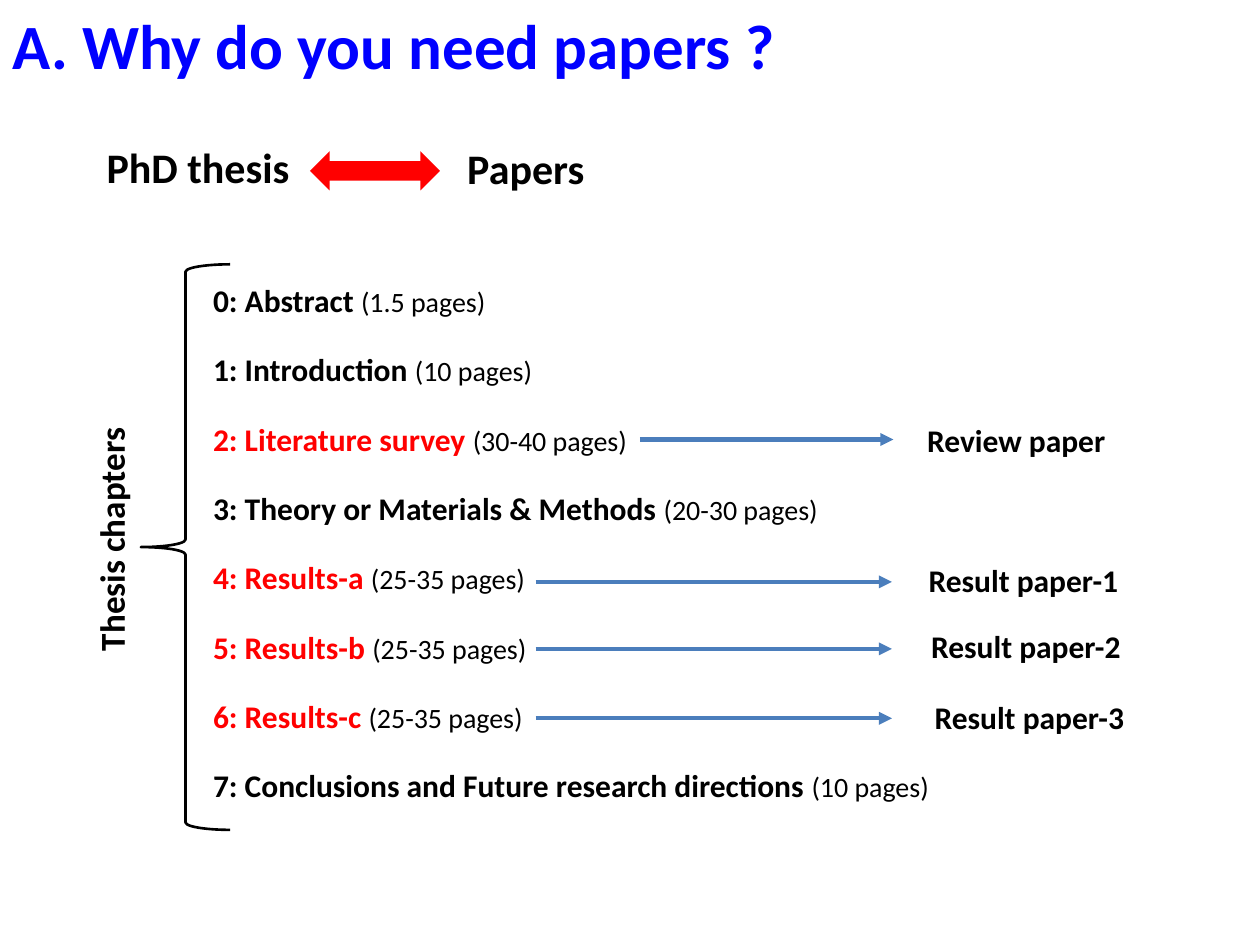
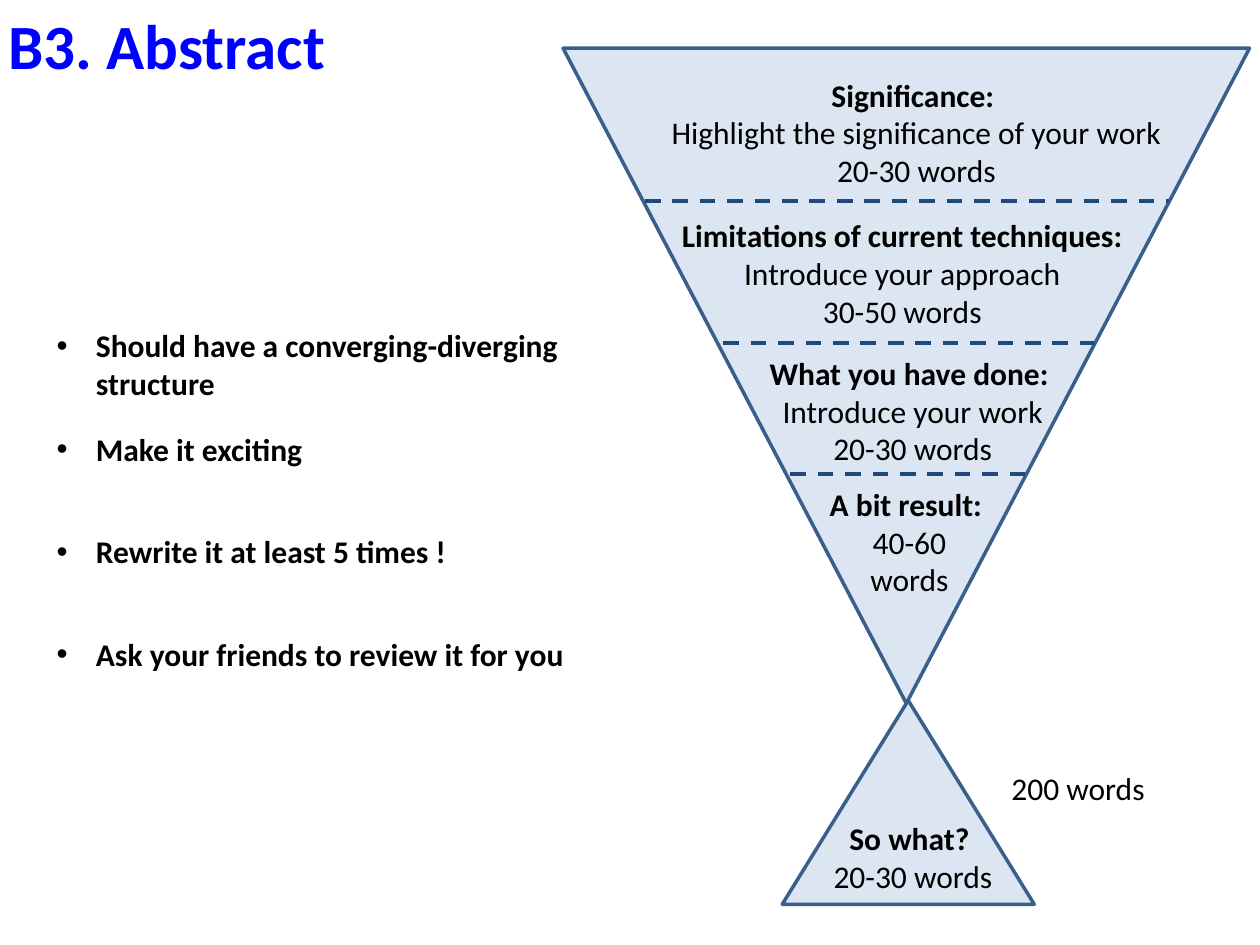
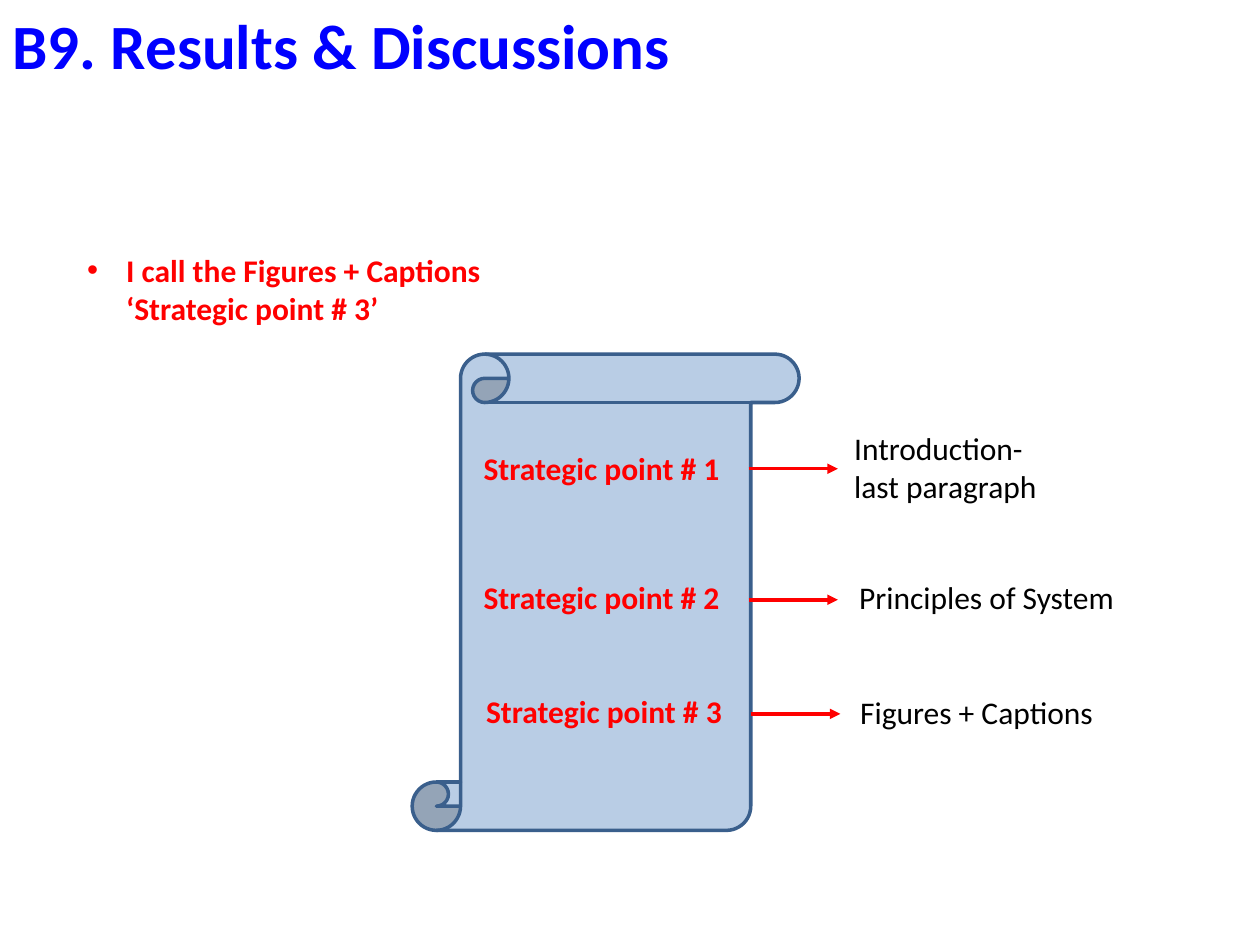
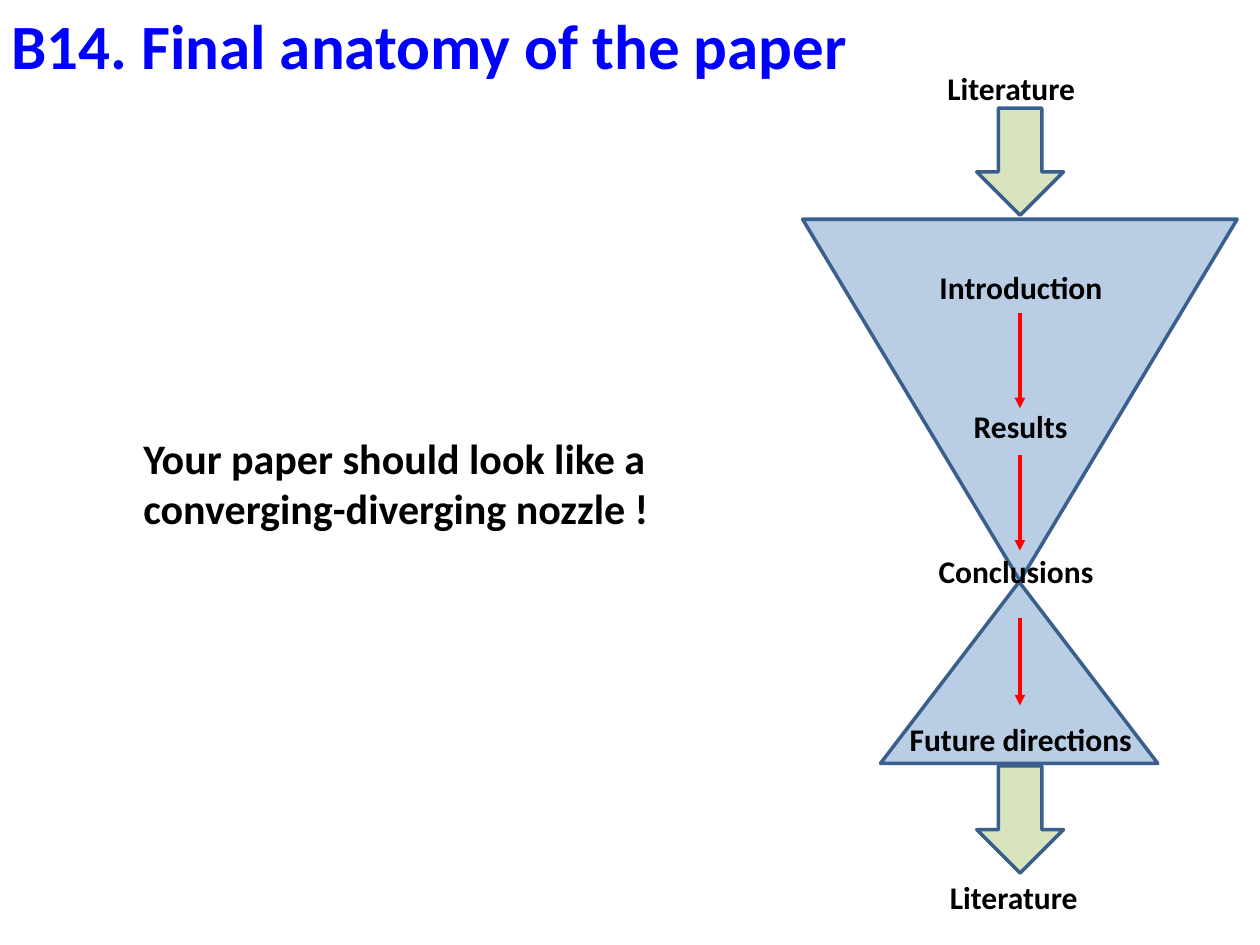
"""Build four slides on why to write papers and how a paper is shaped."""
from lxml import etree
from pptx import Presentation, util as u
from pptx.dml.color import RGBColor as Rgb
from pptx.enum import dml, shapes, text
from pptx.oxml.ns import qn


class Theme:
    face = "Calibri"
    ink, red, blue = "000000", "FF0000", "0000FF"
    edge, arrow, dash = "3A5F8C", "4B7EBC", "1F497D"
    pale, sky, green = "DCE6F2", "B9CDE5", "D7E4BD"
    styles = {
        "title": (36, True, blue),
        "big": (24, True, ink),
        "side": (20, True, ink),
        "bold": (18, True, ink),
        "red": (18, True, red),
        "plain": (18, False, ink),
        "note": (16, False, ink),
    }
    fit = {"auto_size": text.MSO_AUTO_SIZE.SHAPE_TO_FIT_TEXT,
           "vertical_anchor": text.MSO_ANCHOR.TOP}


def place(box, spot):
    """Move a shape to a spot in centimetres."""
    for name, size in zip(("left", "top", "width", "height"), spot):
        setattr(box, name, u.Cm(size))


def write(box, paras, wrap=True, **form):
    """Fill a box with paragraphs of (text, style) runs."""
    frame = box.text_frame
    for name, value in {**Theme.fit, "word_wrap": wrap}.items():
        setattr(frame, name, value)
    for num, runs in enumerate(paras):
        para = frame.add_paragraph() if num else frame.paragraphs[0]
        for name, value in {"space_before": u.Pt(0), **form}.items():
            setattr(para, name, value)
        for words, style in runs:
            size, bold, tint = Theme.styles[style]
            for part, line in enumerate(words.split("\n")):
                if part:
                    para.add_line_break()
                run = para.add_run()
                run.text = line
                look = {"name": Theme.face, "size": u.Pt(size), "bold": bold}
                for name, value in look.items():
                    setattr(run.font, name, value)
                run.font.color.rgb = Rgb.from_string(tint)


left, mid = text.PP_ALIGN.LEFT, text.PP_ALIGN.CENTER
kind = shapes.MSO_SHAPE

parts = [
    ("0: Abstract ", "bold", "1.5"),
    ("1: Introduction ", "bold", "10"),
    ("2: Literature survey ", "red", "30-40"),
    ("3: Theory or Materials & Methods ", "bold", "20-30"),
    ("4: Results-a ", "red", "25-35"),
    ("5: Results-b ", "red", "25-35"),
    ("6: Results-c ", "red", "25-35"),
    ("7: Conclusions and Future research directions ", "bold", "10"),
]
tips = ["Should have a converging-diverging structure", "Make it exciting",
        "Rewrite it at least 5 times !", "Ask your friends to review it for you"]
cone = [
    ((13.18, 1.4, 10.59, 2.57), "Significance: ",
     ["Highlight the significance of your work", "20-30 words"]),
    ((13.44, 4.24, 9.5, 2.57), "Limitations of current techniques: ",
     ["Introduce your approach", "30-50 words"]),
    ((15.01, 7.01, 6.78, 2.57), "What you have done: ",
     ["Introduce your work", "20-30 words"]),
    ((16.33, 9.65, 4.01, 2.57), "A bit result: ", ["40-60\nwords"]),
    ((15.75, 16.38, 5.31, 1.8), "So what? ", ["20-30 words"]),
]

deck = [
    {
        "title": ("A. Why do you need papers ?", 0, 16.05),
        "body": (4.04, 5.54, 15.6, 10.9),
        "list": [[(name, style), (f"({count} pages)", "note")]
                 for name, style, count in parts],
        "gaps": [0] + [18] * 7,
        "shapes": [
            (kind.LEFT_BRACE, (2.84, 5.33, 1.8, 11.4), 0, None, Theme.ink, 1.5),
            (kind.LEFT_RIGHT_ARROW, (6.25, 3.05, 2.62, 0.79), 0, Theme.red, None, 0),
        ],
        "lines": [(12.9, 8.86, 18.01, 8.86)]
        + [(10.8, y, 17.98, y) for y in (11.73, 13.08, 14.48)],
        "pen": (Theme.arrow, 2.5, True),
        "labels": [
            ((18.44, 8.36, 4.6, 1.02), "bold", "Review paper"),
            ((18.47, 11.18, 4.5, 1.02), "bold", "Result paper-1"),
            ((18.52, 12.52, 4.5, 1.02), "bold", "Result paper-2"),
            ((18.59, 13.94, 4.5, 1.02), "bold", "Result paper-3"),
            ((-0.28, 10.29, 5.05, 1.12), "side", "Thesis chapters"),
            ((1.9, 2.72, 6.81, 1.27), "big", "PhD thesis"),
            ((9.17, 2.74, 3.4, 1.27), "big", "Papers"),
        ],
    },
    {
        "title": ("B3. Abstract", -0.08, 6.96),
        "body": (0.89, 6.45, 11.61, 7.29),
        "list": [[(tip, "bold")] for tip in tips],
        "gaps": [0, 16, 37, 37],
        "mark": True,
        "shapes": [
            (kind.ISOSCELES_TRIANGLE, (11.35, 0.97, 13.84, 13.21), 180,
             Theme.pale, Theme.edge, 2),
            (kind.ISOSCELES_TRIANGLE, (15.77, 14.12, 5.08, 4.11), 0,
             Theme.pale, Theme.edge, 2),
        ],
        "lines": [(13, 4.06, 23.57, 4.06), (14.58, 6.91, 22.05, 6.91),
                  (15.93, 9.55, 20.73, 9.55)],
        "pen": (Theme.dash, 2.25, False),
        "cone": cone,
        "labels": [((20.14, 15.37, 3.81, 1.02), "plain", "200 words")],
    },
    {
        "title": ("B9. Results & Discussions", 0, 13.92),
        "body": (1.5, 4.93, 10.21, 1.8),
        "list": [[("I call the Figures + Captions ‘Strategic point # 3’", "red")]],
        "gaps": [0],
        "mark": True,
        "shapes": [(kind.VERTICAL_SCROLL, (8.31, 7.14, 7.8, 9.6), 0,
                    Theme.sky, Theme.edge, 2)],
        "lines": [(x, y, x + 1.8, y)
                  for x, y in ((15.09, 9.45), (15.09, 12.09), (15.14, 14.39))],
        "pen": (Theme.red, 2, True),
        "labels": [
            ((9.5, 8.92, 5.79, 1.02), "red", "Strategic point # 1"),
            ((9.5, 11.53, 5.79, 1.02), "red", "Strategic point # 2"),
            ((9.55, 13.82, 5.79, 1.02), "red", "Strategic point # 3"),
            ((16.97, 8.53, 4.8, 1.8), "plain", "Introduction-last paragraph"),
            ((17.07, 11.53, 6.25, 1.02), "plain", "Principles of System"),
            ((17.09, 13.84, 6.25, 1.02), "plain", "Figures + Captions"),
        ],
    },
    {
        "title": ("B14. Final anatomy of the paper", -0.03, 17.83),
        "shapes": [
            (kind.ISOSCELES_TRIANGLE, (16.18, 4.42, 8.76, 7.29), 180,
             Theme.sky, Theme.edge, 2),
            (kind.ISOSCELES_TRIANGLE, (17.75, 11.73, 5.59, 3.66), 0,
             Theme.sky, Theme.edge, 2),
        ] + [(kind.DOWN_ARROW, (19.69, y, 1.75, 2.16), 0,
              Theme.green, Theme.edge, 2) for y in (15.44, 2.18)],
        "lines": [(20.56, top, 20.56, end)
                  for top, end in ((6.3, 8.23), (9.17, 11.1), (12.45, 14.22))],
        "pen": (Theme.red, 2, True),
        "labels": [
            ((2.64, 8.59, 11.61, 2.31), "big",
             "Your paper should look like a converging-diverging nozzle !"),
            ((18.69, 5.28, 4.65, 1.02), "bold", "Introduction"),
            ((19.38, 8.08, 2.79, 1.02), "bold", "Results"),
            ((18.67, 11, 3.91, 1.02), "bold", "Conclusions"),
            ((18.03, 14.4, 5.1, 0.97), "bold", "Future directions"),
            ((18.85, 1.27, 3.51, 1.02), "bold", "Literature"),
            ((18.9, 17.58, 3.43, 1.02), "bold", "Literature"),
        ],
    },
]

show = Presentation()
show.slide_width, show.slide_height = u.Cm(25.4), u.Cm(19.05)

for page in deck:
    slide = show.slides.add_slide(show.slide_layouts[1 if "body" in page else 5])
    words, x, width = page["title"]
    place(slide.shapes.title, (x, 0, width, 1.8))
    write(slide.shapes.title, [[(words, "title")]], wrap=False, alignment=left)

    if "body" in page:
        body = slide.placeholders[1]
        place(body, page["body"])
        write(body, page["list"], alignment=left)
        inset = u.Cm(0.79) if page.get("mark") else 0
        for para, gap in zip(body.text_frame.paragraphs, page["gaps"]):
            para.space_before = u.Pt(gap)
            props = para._p.get_or_add_pPr()
            props.set("marL", str(inset))
            props.set("indent", str(-inset))
            if not inset:
                etree.SubElement(props, qn("a:buNone"))

    for form, spot, turn, fill, edge, weight in page["shapes"]:
        item = slide.shapes.add_shape(form, 0, 0, 0, 0)
        place(item, spot)
        item.rotation = turn
        item.shadow.inherit = False
        for paint, tint in ((item.fill, fill), (item.line.fill, edge)):
            if tint:
                paint.solid()
                paint.fore_color.rgb = Rgb.from_string(tint)
            else:
                paint.background()
        if edge:
            item.line.width = u.Pt(weight)

    tint, weight, head = page["pen"]
    for ends in page["lines"]:
        link = slide.shapes.add_connector(
            shapes.MSO_CONNECTOR.STRAIGHT, *[u.Cm(end) for end in ends])
        link.line.color.rgb = Rgb.from_string(tint)
        link.line.width = u.Pt(weight)
        if head:
            etree.SubElement(link.line._get_or_add_ln(), qn("a:tailEnd"), type="triangle")
        else:
            link.line.dash_style = dml.MSO_LINE.DASH
        etree.SubElement(link._element.spPr, qn("a:effectLst"))

    for spot, lead, rest in page.get("cone", []):
        box = slide.shapes.add_textbox(0, 0, 0, 0)
        place(box, spot)
        write(box, [[(lead, "bold")]] + [[(line, "plain")] for line in rest],
              alignment=mid)

    for spot, style, words in page["labels"]:
        box = slide.shapes.add_textbox(0, 0, 0, 0)
        place(box, spot)
        side = style == "side"
        box.rotation = 270 if side else 0
        write(box, [[(words, style)]], wrap=not side,
              alignment=mid if words == "Future directions" else left)

show.save("out.pptx")
